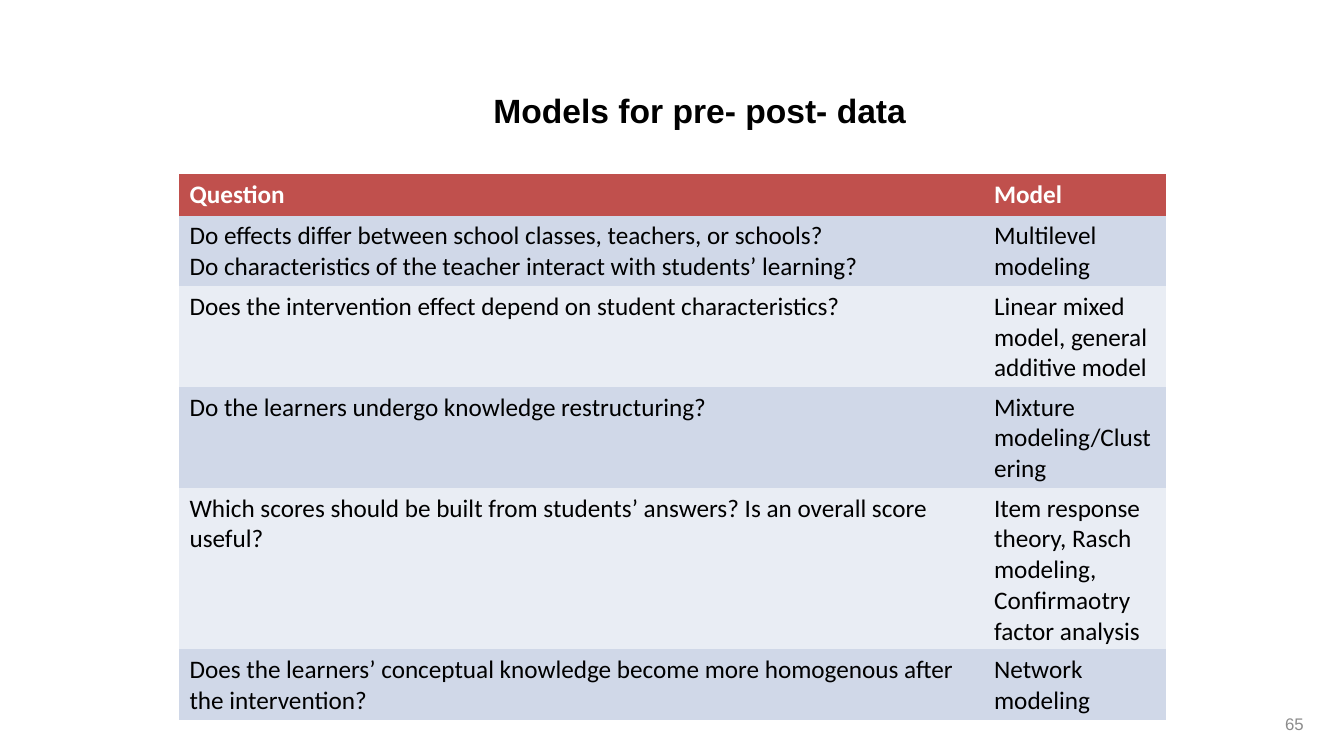
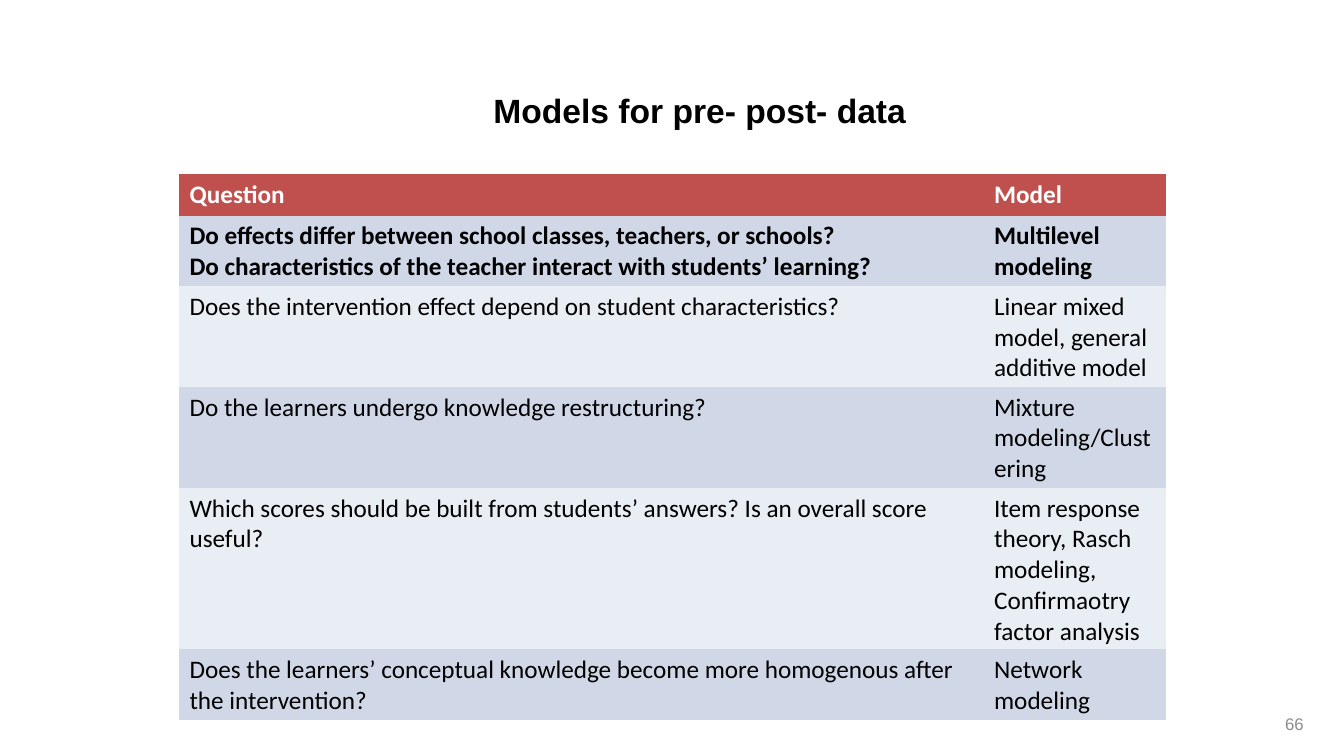
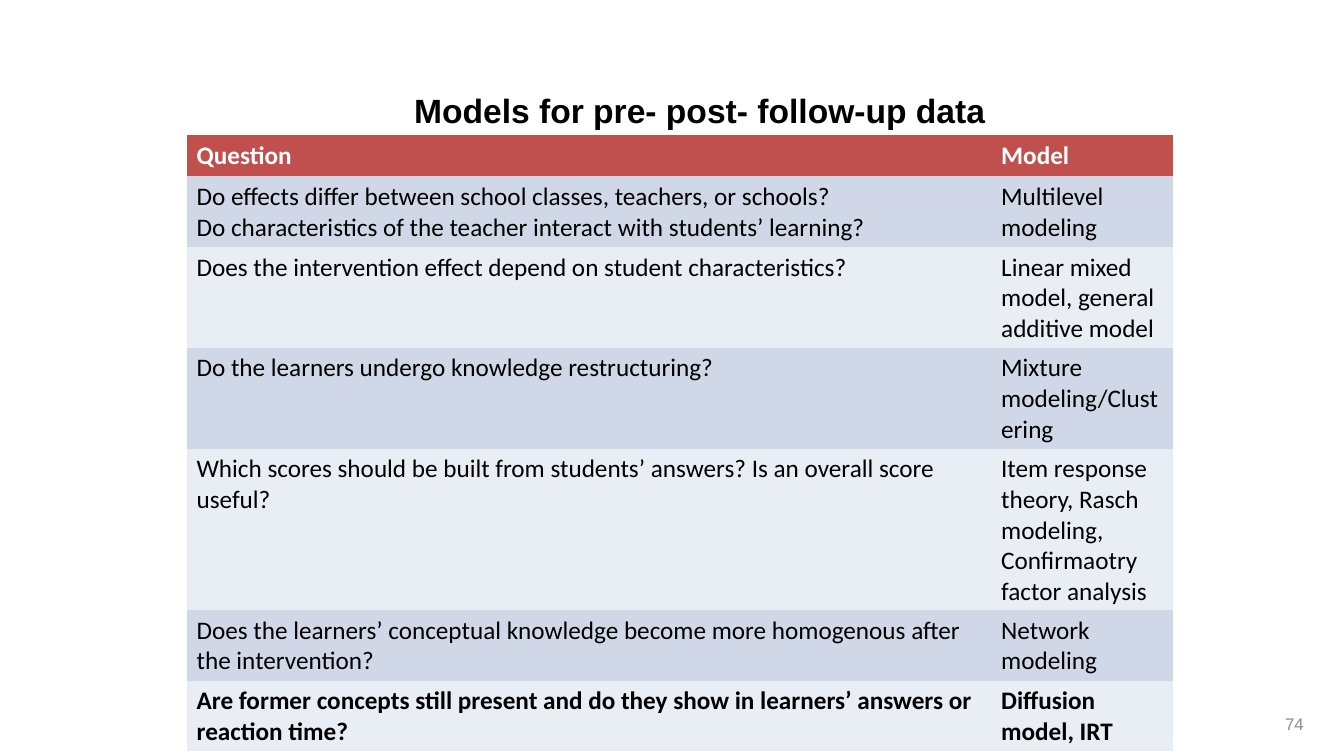
from pptx import Presentation
from pptx.dml.color import RGBColor
from pptx.enum.text import MSO_ANCHOR, MSO_AUTO_SIZE, PP_ALIGN
from pptx.util import Inches, Pt

TOP, MIDDLE = MSO_ANCHOR.TOP, MSO_ANCHOR.MIDDLE
CENTER, RIGHT = PP_ALIGN.CENTER, PP_ALIGN.RIGHT
GROW = MSO_AUTO_SIZE.SHAPE_TO_FIT_TEXT

BLACK = RGBColor(0x00, 0x00, 0x00)
WHITE = RGBColor(0xFF, 0xFF, 0xFF)
GRAY = RGBColor(0x8C, 0x8C, 0x8C)
HEADER_RED = RGBColor(0xC0, 0x50, 0x4D)
BANDS = (RGBColor(0xD0, 0xD8, 0xE8), RGBColor(0xE9, 0xED, 0xF4))

TITLE_FONT, TABLE_FONT = "Arial", "Calibri"
NO_GRID_STYLE = "{2D5ABB26-0587-4C30-8999-92F81FD0307C}"
TITLE_ONLY = 5

TITLE_BOX = (3.67, 0.84, 6.54, 0.5)
NUMBER_BOX = (9.92, 6.98, 3.11, 0.4)
COLUMNS = (7.98, 1.8)
ROW_HEIGHT = 0.41

HEADER = ("Question", "Model")
PRE_POST = [
    ("Do effects differ between school classes, teachers, or schools?\n"
     "Do characteristics of the teacher interact with students’ learning?",
     "Multilevel modeling"),
    ("Does the intervention effect depend on student characteristics?",
     "Linear mixed model, general additive model"),
    ("Do the learners undergo knowledge restructuring?",
     "Mixture modeling/Clustering"),
    ("Which scores should be built from students’ answers? Is an overall score useful?",
     "Item response theory, Rasch modeling, Confirmaotry factor analysis"),
    ("Does the learners’ conceptual knowledge become more homogenous after the intervention?",
     "Network modeling"),
]
FOLLOW_UP = PRE_POST + [
    ("Are former concepts still present and do they show in learners’ answers or reaction time?",
     "Diffusion model, IRT"),
]

# title, slide number, questions, table corner, row in bold (the header is row 0)
SLIDES = [
    ("Models for pre- post- data", "65", PRE_POST, (1.78, 1.73), None),
    ("Models for pre- post- data", "66", PRE_POST, (1.78, 1.73), 1),
    ("Models for pre- post- follow-up data", "74", FOLLOW_UP, (1.85, 1.34), 6),
]


def inches(lengths):
    return [Inches(length) for length in lengths]


def write(frame, text, font, size, color, bold=False, align=None):
    frame.text = text
    for paragraph in frame.paragraphs:
        paragraph.alignment = align
        for run in paragraph.runs:
            run.font.name = font
            run.font.size = Pt(size)
            run.font.bold = bold
            run.font.color.rgb = color


def add_title(slide, text):
    title = slide.shapes.title
    title.left, title.top, title.width, title.height = inches(TITLE_BOX)
    frame = title.text_frame
    frame.word_wrap = True
    frame.auto_size = GROW
    frame.vertical_anchor = TOP
    write(frame, text, TITLE_FONT, 24, BLACK, True, CENTER)


def add_number(slide, number):
    frame = slide.shapes.add_textbox(*inches(NUMBER_BOX)).text_frame
    frame.word_wrap = True
    frame.vertical_anchor = MIDDLE
    write(frame, number, TITLE_FONT, 12, GRAY, align=RIGHT)


def add_models(slide, questions, corner, bold_row):
    rows = [HEADER] + questions
    size = (sum(COLUMNS), ROW_HEIGHT * len(rows))
    frame = slide.shapes.add_table(len(rows), len(COLUMNS), *inches(corner + size))
    table = frame.table
    frame._element.graphic.graphicData.tbl.tblPr[0].text = NO_GRID_STYLE
    for column, width in zip(table.columns, COLUMNS):
        column.width = Inches(width)
    for r, row in enumerate(rows):
        is_header = r == 0
        for c, text in enumerate(row):
            cell = table.cell(r, c)
            cell.fill.solid()
            cell.fill.fore_color.rgb = HEADER_RED if is_header else BANDS[(r - 1) % 2]
            write(cell.text_frame, text, TABLE_FONT, 18,
                  WHITE if is_header else BLACK, is_header or r == bold_row)


def main():
    deck = Presentation()
    deck.slide_width, deck.slide_height = inches((13.33, 7.5))
    for title, number, questions, corner, bold_row in SLIDES:
        slide = deck.slides.add_slide(deck.slide_layouts[TITLE_ONLY])
        add_title(slide, title)
        add_number(slide, number)
        add_models(slide, questions, corner, bold_row)
    deck.save("out.pptx")


if __name__ == "__main__":
    main()
